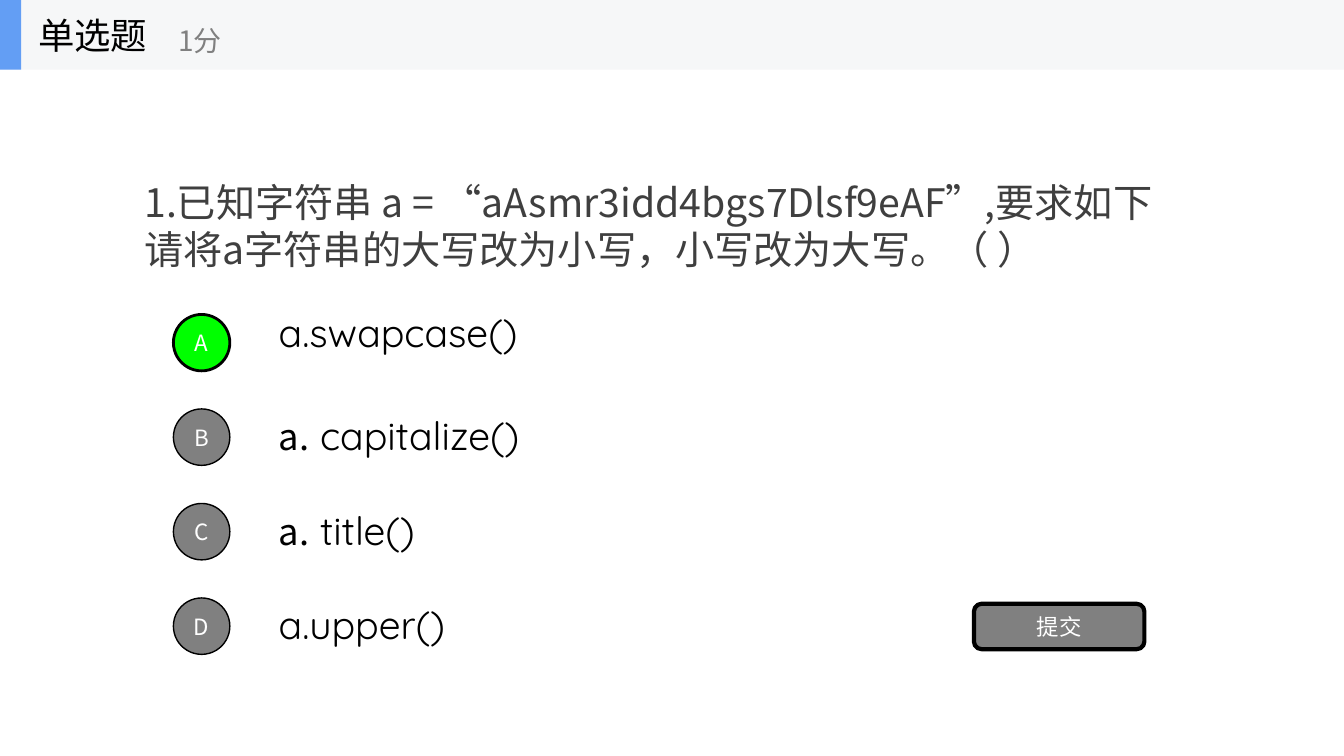
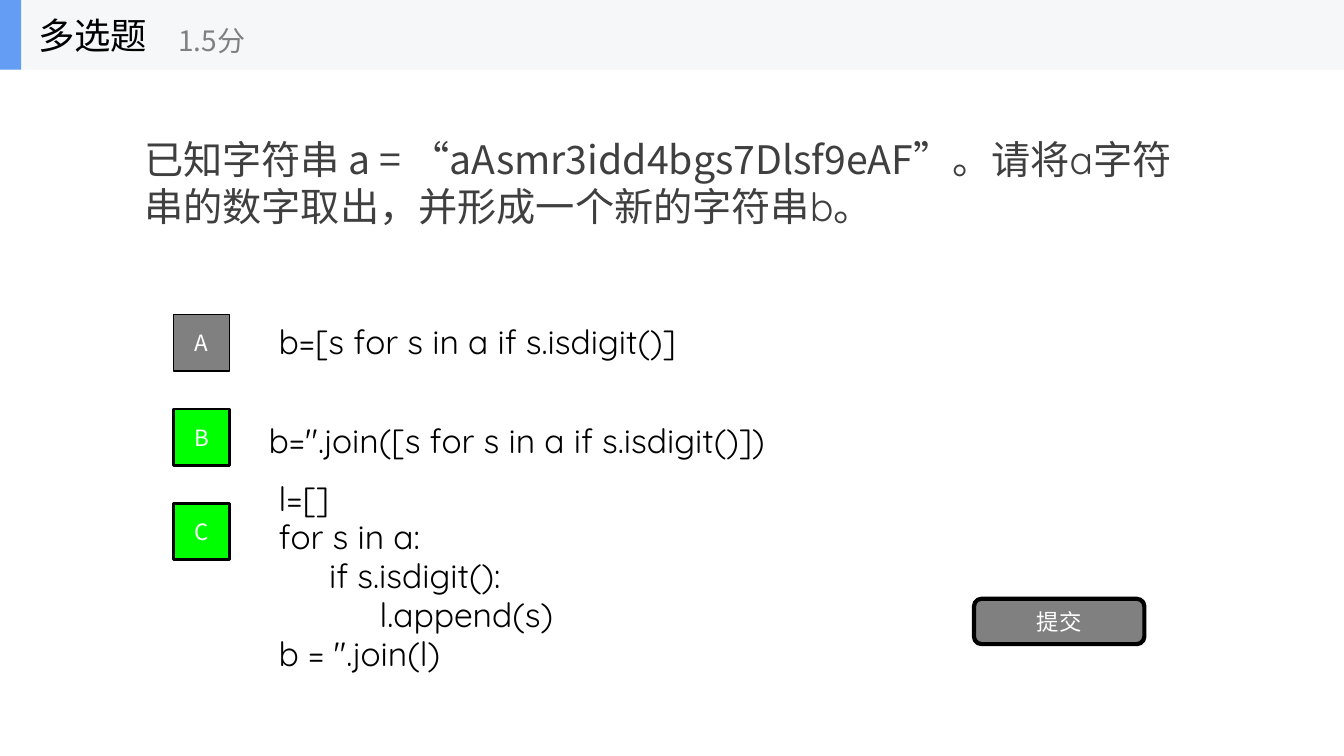
from lxml.etree import SubElement
from pptx import Presentation
from pptx.dml.color import RGBColor
from pptx.enum.shapes import MSO_SHAPE as Shape
from pptx.enum.text import MSO_ANCHOR as Anchor, PP_ALIGN as Align
from pptx.oxml.ns import qn
from pptx.util import Inches, Pt

WHITE = RGBColor(0xFF, 0xFF, 0xFF)
BLACK = RGBColor(0x00, 0x00, 0x00)
INK = RGBColor(0x3F, 0x3F, 0x3F)
GRAY = RGBColor(0x80, 0x80, 0x80)
GREEN = RGBColor(0x00, 0xFF, 0x00)
BAND = RGBColor(0xF6, 0xF7, 0xF8)
ACCENT = RGBColor(0x63, 0x9E, 0xF4)
SANS, ROUND = "Noto Sans CJK SC", "Quicksand"

WIDTH, HEIGHT = 13.33, 7.5
BAND_HEIGHT = 0.69
QUESTION_LEFT, QUESTION_WIDTH, QUESTION_HEIGHT = WIDTH * 0.1, WIDTH * 0.8, 1.6
BADGE_LEFT, BADGE_SIZE = 1.72, 0.56
FIRST_ROW, ROW_PITCH = HEIGHT * 0.4533, HEIGHT / 8
OPTION_LEFT, OPTION_WIDTH, OPTION_HEIGHT = WIDTH * 0.2, WIDTH * 0.7, 0.7
SUBMIT_LEFT, SUBMIT_WIDTH, SUBMIT_HEIGHT = 9.66, 1.69, 0.45

CODE = "aAsmr3idd4bgs7Dlsf9eAF"
QUIZ = [
    {
        "title": "单选题", "points": "1分", "badge": Shape.OVAL,
        "numbered": True, "question_middle": 2.24, "submit_top": 5.99,
        "question": [
            [("已知字符串 a = ", SANS), ("“", ROUND), (CODE, SANS), ("”", ROUND), (",要求如下", SANS)],
            [("请将a字符串的大写改为小写，小写改为大写。（ ）", SANS)],
        ],
        "options": [
            {"lines": [[("a.swapcase()", ROUND, 28)]], "correct": True, "shift": (0, -0.09)},
            {"lines": [[("a.", SANS, 26), (" capitalize()", ROUND, 28)]]},
            {"lines": [[("a.", SANS, 26), (" title()", ROUND, 28)]]},
            {"lines": [[("a.upper()", ROUND, 28)]]},
        ],
    },
    {
        "title": "多选题", "points": "1.5分", "badge": Shape.RECTANGLE,
        "numbered": False, "question_middle": 1.81, "submit_top": 5.94,
        "question": [
            [("已知字符串 a = ", SANS), ("“", ROUND), (CODE, SANS),
             ("”。请将a字符串的数字取出，并形成一个新的字符串b。", ROUND)],
        ],
        "options": [
            {"lines": [[("b=[s for s in a if s.isdigit()]", ROUND, 24)]]},
            {"lines": [[("b=''.join([s for s in a if s.isdigit()])", ROUND, 24)]],
             "correct": True, "shift": (-0.1, 0.05)},
            {"lines": [[(line, ROUND, 24)] for line in (
                "l=[]", "for s in a:", "\tif s.isdigit():", "\t\tl.append(s)", "b = ''.join(l)")],
             "correct": True, "shift": (0, 0.45)},
        ],
    },
]


def set_values(target, values):
    for name, value in values.items():
        setattr(target, name, value)


def add_run(paragraph, text, font_name, size, color):
    run = paragraph.add_run()
    run.text = text
    set_values(run.font, {"name": font_name, "size": Pt(size)})
    run.font.color.rgb = color
    SubElement(run.font._element, qn("a:ea"), typeface=SANS)


def add_text_box(slide, left, top, width, height):
    frame = slide.shapes.add_textbox(*map(Inches, (left, top, width, height))).text_frame
    set_values(frame, {"word_wrap": True, "vertical_anchor": Anchor.MIDDLE})
    return frame


def add_label(slide, box, text, size, color):
    add_run(add_text_box(slide, *box).paragraphs[0], text, SANS, size, color)


def add_block(slide, kind, box, fill, line_width=0, text=""):
    shape = slide.shapes.add_shape(kind, *map(Inches, box))
    shape.shadow.inherit = False
    shape.fill.solid()
    shape.fill.fore_color.rgb = fill
    if line_width:
        shape.line.color.rgb = BLACK
        shape.line.width = Pt(line_width)
    else:
        shape.line.fill.background()
    if text:
        frame = shape.text_frame
        set_values(frame, {"margin_left": 0, "margin_right": 0, "margin_top": 0,
                           "margin_bottom": 0, "vertical_anchor": Anchor.MIDDLE})
        paragraph = frame.paragraphs[0]
        paragraph.alignment = Align.CENTER
        add_run(paragraph, text, SANS, 16, WHITE)


def add_header(slide, quiz):
    add_block(slide, Shape.RECTANGLE, (0, 0, WIDTH, BAND_HEIGHT), BAND)
    add_block(slide, Shape.RECTANGLE, (0, 0, 0.21, BAND_HEIGHT), ACCENT)
    add_label(slide, (0.28, 0, 2.08, BAND_HEIGHT), quiz["title"], 26, BLACK)
    add_label(slide, (1.67, 0.12, 2.5, 0.56), quiz["points"], 20, GRAY)


def add_question(slide, quiz):
    top = quiz["question_middle"] - QUESTION_HEIGHT / 2
    frame = add_text_box(slide, QUESTION_LEFT, top, QUESTION_WIDTH, QUESTION_HEIGHT)
    paragraph = frame.paragraphs[0]
    paragraph.line_spacing = Pt(33.6)
    if quiz["numbered"]:
        properties = paragraph._p.get_or_add_pPr()
        SubElement(properties, qn("a:buFont"), typeface=SANS)
        SubElement(properties, qn("a:buAutoNum"), type="arabicPeriod")
    for index, line in enumerate(quiz["question"]):
        if index:
            paragraph.add_line_break()
        for text, font_name in line:
            add_run(paragraph, text, font_name, 28, INK)


def add_option(slide, badge, row, option):
    middle = FIRST_ROW + row * ROW_PITCH
    correct = option.get("correct", False)
    add_block(slide, badge, (BADGE_LEFT, middle - BADGE_SIZE / 2, BADGE_SIZE, BADGE_SIZE),
              GREEN if correct else GRAY, 2 if correct else 1, "ABCD"[row])
    shift_x, shift_y = option.get("shift", (0, 0))
    frame = add_text_box(slide, OPTION_LEFT + shift_x, middle + shift_y - OPTION_HEIGHT / 2,
                         OPTION_WIDTH, OPTION_HEIGHT)
    for index, line in enumerate(option["lines"]):
        paragraph = frame.add_paragraph() if index else frame.paragraphs[0]
        paragraph.line_spacing = 0.96
        for text, font_name, size in line:
            add_run(paragraph, text, font_name, size, BLACK)


def main():
    presentation = Presentation()
    set_values(presentation, {"slide_width": Inches(WIDTH), "slide_height": Inches(HEIGHT)})
    for quiz in QUIZ:
        slide = presentation.slides.add_slide(presentation.slide_layouts[6])
        add_header(slide, quiz)
        add_question(slide, quiz)
        for row, option in enumerate(quiz["options"]):
            add_option(slide, quiz["badge"], row, option)
        add_block(slide, Shape.ROUNDED_RECTANGLE,
                  (SUBMIT_LEFT, quiz["submit_top"], SUBMIT_WIDTH, SUBMIT_HEIGHT), GRAY, 3, "提交")
    presentation.save("out.pptx")


if __name__ == "__main__":
    main()
